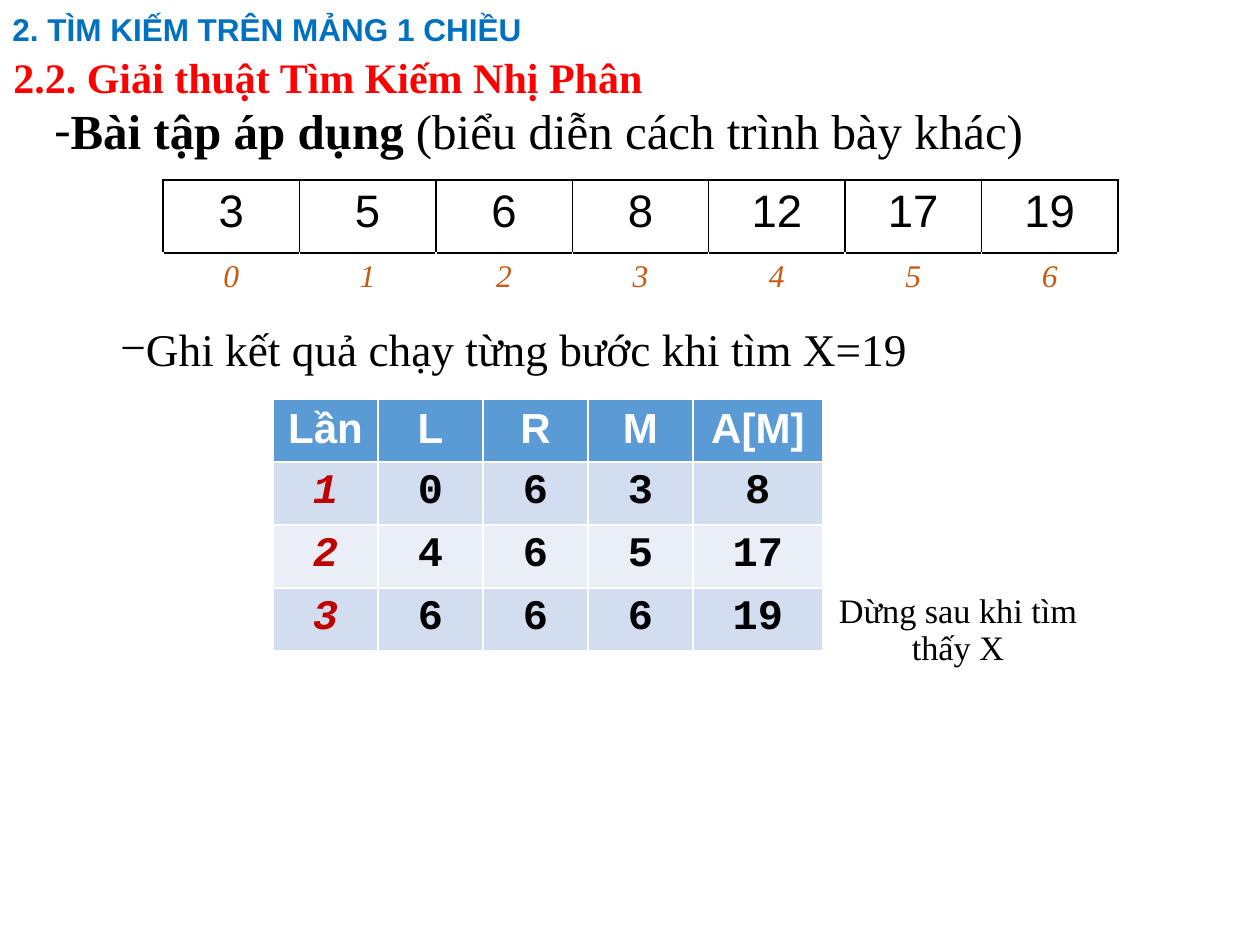
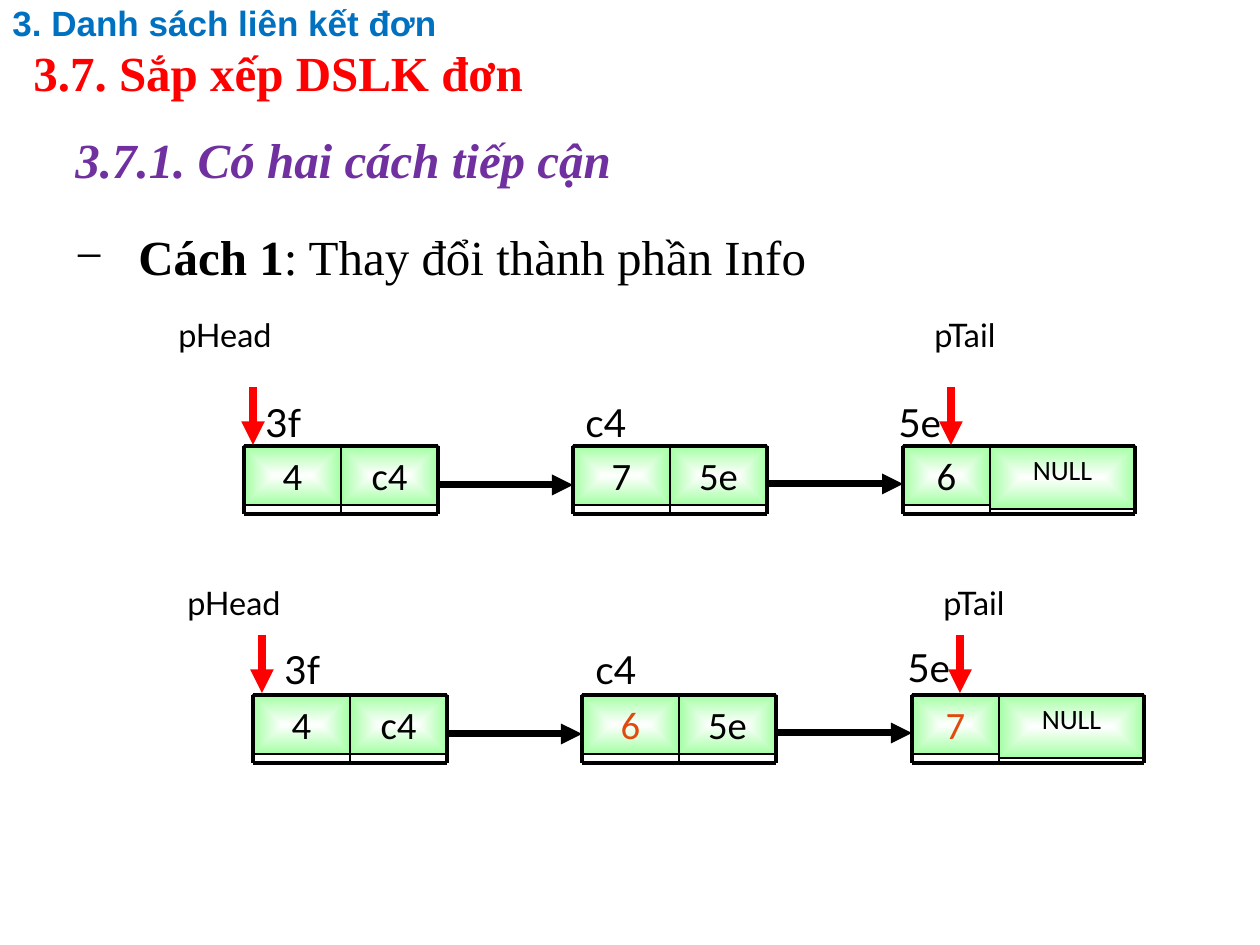
from lxml import etree
from pptx import Presentation
from pptx import util as u
from pptx.dml.color import RGBColor
from pptx.enum import shapes, text
from pptx.oxml.ns import qn

PX = 914400 / 126
BLACK = RGBColor(0x00, 0x00, 0x00)
WHITE = RGBColor(0xFF, 0xFF, 0xFF)
RED = RGBColor(0xFF, 0x00, 0x00)
BLUE = RGBColor(0x00, 0x70, 0xC0)
PURPLE = RGBColor(0x70, 0x30, 0xA0)
BROWN = RGBColor(0xC5, 0x5A, 0x11)
DARK_RED = RGBColor(0xC0, 0x00, 0x00)
ORANGE = RGBColor(0xE0, 0x4A, 0x0E)
GREEN = RGBColor(0xA5, 0xFF, 0xA5)
HEADER = RGBColor(0x5B, 0x9B, 0xD5)
BANDS = RGBColor(0xD2, 0xDE, 0xEF), RGBColor(0xEA, 0xEF, 0xF7)
SERIF, SANS, MONO, NODE, LABEL = "Times New Roman", "Arial", "Courier New", "Calibri", "Lato"
LEFT, CENTER, JUSTIFY = text.PP_ALIGN.LEFT, text.PP_ALIGN.CENTER, text.PP_ALIGN.JUSTIFY
TOP, MIDDLE = text.MSO_ANCHOR.TOP, text.MSO_ANCHOR.MIDDLE


def write(p, runs, align=LEFT, spacing=None, before=None, bullet=None, margin=0, indent=0):
    p.alignment = align
    p.line_spacing = spacing
    p.space_before = before
    for words, font, size, color, style in runs:
        r = p.add_run()
        r.text = words
        r.font.name = font
        r.font.size = u.Pt(size)
        r.font.color.rgb = color
        r.font.bold = "b" in style
        r.font.italic = "i" in style
    if bullet:
        pPr = p._p.get_or_add_pPr()
        pPr.set("marL", str(int(margin * PX)))
        pPr.set("indent", str(int(indent * PX)))
        etree.SubElement(pPr, qn("a:buFont"), typeface=SERIF)
        etree.SubElement(pPr, qn("a:buChar"), char=bullet)


def line(s, x1, y1, x2, y2, color, width, arrow=False):
    c = s.shapes.add_connector(shapes.MSO_CONNECTOR.STRAIGHT, *[int(v * PX) for v in (x1, y1, x2, y2)])
    c.line.color.rgb = color
    c.line.width = u.Pt(width)
    if arrow:
        etree.SubElement(c.line._get_or_add_ln(), qn("a:tailEnd"), type="triangle")
    etree.SubElement(c._element.spPr, qn("a:effectLst"))


prs = Presentation()
prs.slide_width = int(1260 * PX)
prs.slide_height = int(945 * PX)
search = prs.slides.add_slide(prs.slide_layouts[6])
linked = prs.slides.add_slide(prs.slide_layouts[6])

TITLE = dict(spacing=0.9)
boxes = [
    (search, (0, 0, 1239, 63), MIDDLE, [
        ([("2. TÌM KIẾM TRÊN MẢNG 1 CHIỀU", SANS, 18, BLUE, "b")], TITLE)]),
    (search, (1, 42, 1171, 76), MIDDLE, [
        ([("2.2. Giải thuật Tìm Kiếm Nhị Phân", SERIF, 24, RED, "b")], TITLE)]),
    (search, (42, 92, 1086, 76), MIDDLE, [
        ([("Bài tập áp dụng ", SERIF, 28, BLACK, "b"),
          ("(biểu diễn cách trình bày khác)", SERIF, 28, BLACK, "")],
         dict(bullet="-", margin=9, indent=-38))]),
    (search, (108, 315, 1021, 68), TOP, [
        ([("Ghi kết quả chạy từng bước khi tìm X=19", SERIF, 25.9, BLACK, "")],
         dict(align=JUSTIFY, before=u.Pt(6), bullet="−", margin=24, indent=-38))]),
    (search, (824, 588, 268, 89), TOP, [
        ([("Dừng sau khi tìm thấy X", SERIF, 19.6, BLACK, "")],
         dict(align=CENTER, spacing=0.9, before=u.Pt(6)))]),
    (linked, (0, 0, 1055, 50), MIDDLE, [
        ([("3. Danh sách liên kết đơn", SANS, 20, BLUE, "b")], TITLE)]),
    (linked, (21, 37, 1055, 78), MIDDLE, [
        ([("3.7. Sắp xếp DSLK đơn", SERIF, 28, RED, "b")], TITLE)]),
    (linked, (63, 112, 1176, 679), TOP, [
        ([("3.7.1. Có hai cách tiếp cận", SERIF, 28, PURPLE, "bi")],
         dict(align=JUSTIFY, spacing=1.2)),
        ([("Cách 1", SERIF, 28, BLACK, "b"), (": Thay đổi thành phần Info", SERIF, 28, BLACK, "")],
         dict(align=JUSTIFY, spacing=1.2, before=u.Pt(15), bullet="−", margin=63, indent=-63))]),
]

lists = [
    (0, 446, 309, 387, [("3f", 253, 393), ("c4", 573, 393), ("5e", 886, 393)],
     [("4", BLACK), ("7", BLACK), ("6", BLACK)]),
    (9, 695, 577, 635, [("3f", 272, 640), ("c4", 583, 640), ("5e", 895, 638)],
     [("4", BLACK), ("6", ORANGE), ("7", ORANGE)]),
]
for dx, y, pointer_y, arrow_y, addresses, infos in lists:
    for words, x, label_y in addresses:
        boxes.append((linked, (x, label_y, 87, 59), TOP, [([(words, LABEL, 22.1, BLACK, "")], {})]))
    for words, x in (("pHead", 166), ("pTail", 922)):
        boxes.append((linked, (x + dx, pointer_y, 136, 52), TOP,
                      [([(words, LABEL, 18.5, BLACK, "")], {})]))

for s, box, anchor, paragraphs in boxes:
    tf = s.shapes.add_textbox(*[int(v * PX) for v in box]).text_frame
    tf.word_wrap = True
    tf.vertical_anchor = anchor
    for i, (runs, layout) in enumerate(paragraphs):
        write(tf.add_paragraph() if i else tf.paragraphs[0], runs, **layout)

array = search.shapes.add_table(2, 7, *[int(v * PX) for v in (163, 180, 955, 122)]).table
array.first_row = array.horz_banding = False
array.rows[0].height = int(73 * PX)
array.rows[1].height = int(49 * PX)
for col, value in enumerate([3, 5, 6, 8, 12, 17, 19]):
    for row, run, sides in ((0, (str(value), SANS, 26, BLACK, ""), "LRTB"),
                            (1, (str(col), SERIF, 18, BROWN, "i"), "T")):
        cell = array.cell(row, col)
        write(cell.text_frame.paragraphs[0], [run], CENTER)
        for side in sides:
            ln = etree.SubElement(cell._tc.get_or_add_tcPr(), qn("a:ln" + side), w="12700")
            fill = etree.SubElement(ln, qn("a:solidFill"))
            etree.SubElement(fill, qn("a:srgbClr"), val=str(BLACK))
        cell.fill.background()

steps = [("Lần", "L", "R", "M", "A[M]"), (1, 0, 6, 3, 8), (2, 4, 6, 5, 17), (3, 6, 6, 6, 19)]
trace = search.shapes.add_table(4, 5, *[int(v * PX) for v in (273, 399, 550, 240)]).table
for col, width in enumerate([105] * 4 + [130]):
    trace.columns[col].width = int(width * PX)
for row, values in enumerate(steps):
    for col, value in enumerate(values):
        cell = trace.cell(row, col)
        cell.fill.solid()
        cell.fill.fore_color.rgb = BANDS[(row - 1) % 2] if row else HEADER
        if row == 0:
            look = (SANS, 24, WHITE, "b")
        elif col == 0:
            look = (MONO, 24, DARK_RED, "bi")
        else:
            look = (MONO, 24, BLACK, "b")
        write(cell.text_frame.paragraphs[0], [(str(value), *look)], CENTER)

nodes = [(244, 97, 97, "c4"), (573, 97, 97, "5e"), (903, 87, 145, "NULL")]
for dx, y, pointer_y, arrow_y, addresses, infos in lists:
    for (x, info_w, next_w, link), (info, color) in zip(nodes, infos):
        left, middle = x + dx, x + dx + info_w
        right, bottom = middle + next_w, y + 68
        last = link == "NULL"
        for words, cell_x, w, h, size, ink in (
                (link, middle, next_w, 63 if last else 59, 16 if last else 22.1, BLACK),
                (info, left, info_w, 59, 22.1, color)):
            sp = linked.shapes.add_shape(shapes.MSO_SHAPE.RECTANGLE, *[int(v * PX) for v in (cell_x, y, w, h)])
            sp.shadow.inherit = False
            sp.line.color.rgb = BLACK
            sp.line.width = u.Pt(0.75)
            sp.fill.gradient()
            for stop, shade in zip(sp.fill.gradient_stops, (WHITE, GREEN)):
                stop.color.rgb = shade
            grad = sp._element.spPr.find(qn("a:gradFill"))
            grad.remove(grad.find(qn("a:lin")))
            focus = etree.SubElement(grad, qn("a:path"), {"path": "shape"})
            etree.SubElement(focus, qn("a:fillToRect"), l="50000", t="50000", r="50000", b="50000")
            tf = sp.text_frame
            tf.word_wrap = True
            tf.vertical_anchor = TOP
            write(tf.paragraphs[0], [(words, NODE, size, ink, "")], CENTER)
        for edge_y in (y, bottom):
            line(linked, left, edge_y, right, edge_y, BLACK, 2.25)
        for edge_x, width in ((left, 2.25), (middle, 1), (right, 2.25)):
            line(linked, edge_x, y, edge_x, bottom, BLACK, width)
    for x1, x2, drop in ((438, 573, 39), (767, 903, 38)):
        line(linked, x1 + dx, y + drop, x2 + dx, y + drop, BLACK, 4, True)
    for x in (253, 951):
        line(linked, x + dx, arrow_y, x + dx, arrow_y + 58, RED, 4.5, True)

prs.save("out.pptx")
